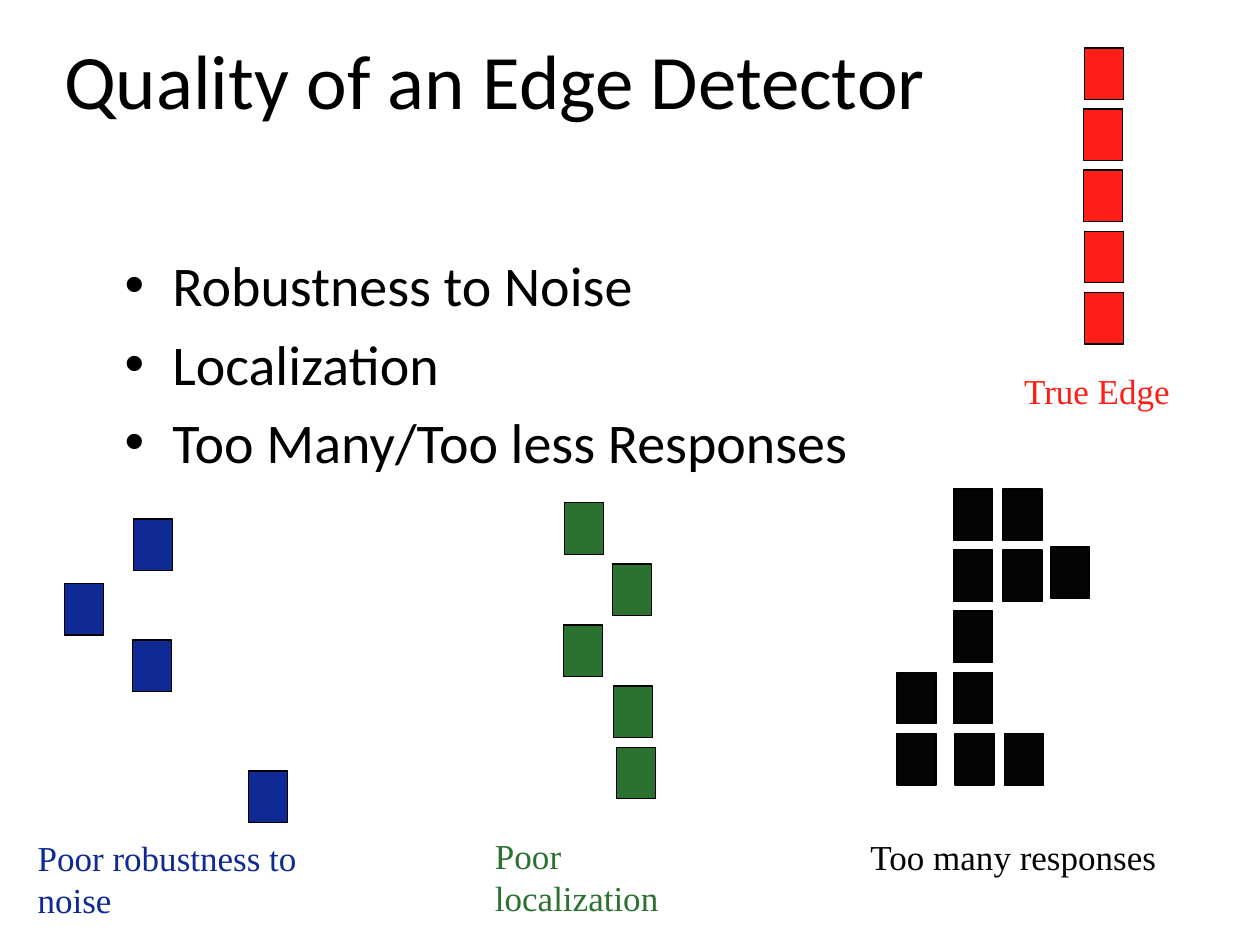
from dataclasses import dataclass

import pptx
import pptx.dml.color
import pptx.enum.shapes
import pptx.enum.text
import pptx.util
from lxml import etree

Inches = pptx.util.Inches
Pt = pptx.util.Pt
Color = pptx.dml.color.RGBColor.from_string


@dataclass(frozen=True)
class Theme:
    ink: str = "000000"
    red: str = "FF1D17"
    blue: str = "0F2995"
    green: str = "2B7130"
    black: str = "020406"
    sans: str = "Calibri"
    serif: str = "Times New Roman"
    head: int = 44
    body: int = 32
    note: int = 20


@dataclass(frozen=True)
class Edge:
    """Pixels of one edge as (left, row), with the label below."""
    color: str
    top: float
    cells: tuple[tuple[float, float], ...]
    label: str
    box: tuple[float, float, float, float]
    inset: float = 0


THEME = Theme()
PITCH = 0.485
WIDE, HIGH = 0.31, 0.41

EDGES = (
    Edge(THEME.red, 0.38, ((8.61, 0), (8.6, 1), (8.6, 2), (8.61, 3), (8.61, 4)),
         "True Edge", (8.03, 2.88, 1.37, 0.43)),
    Edge(THEME.blue, 4.12, ((1.06, 0), (0.51, 1.05), (1.05, 1.98), (1.97, 4.12)),
         "Poor robustness to noise", (0.2, 6.59, 2.9, 0.43), 0.5),
    Edge(THEME.green, 3.99, ((4.48, 0), (4.86, 1), (4.47, 2), (4.87, 3), (4.89, 4)),
         "Poor localization", (3.83, 6.57, 2.09, 0.43), 0.5),
    Edge(THEME.black, 3.88,
         ((7.57, 0), (7.96, 0), (7.57, 1), (7.96, 1), (8.34, 0.95), (7.57, 2),
          (7.12, 3), (7.57, 3), (7.12, 4), (7.58, 4), (7.97, 4)),
         "Too many responses", (6.81, 6.58, 2.48, 0.43)),
)


def place(shape, left: float, top: float, width: float, height: float) -> None:
    shape.left, shape.top = Inches(left), Inches(top)
    shape.width, shape.height = Inches(width), Inches(height)


def write(frame, *lines: str, font: str, size: int, color: str,
          bullet: bool = False) -> None:
    frame.word_wrap = True
    for i, line in enumerate(lines):
        para = frame.paragraphs[0] if i == 0 else frame.add_paragraph()
        para.alignment = pptx.enum.text.PP_ALIGN.LEFT
        run = para.add_run()
        run.text = line
        run.font.name, run.font.size = font, Pt(size)
        run.font.color.rgb = Color(color)
        if bullet:
            para.space_before = Pt(size * 0.2)
            props = para._p.get_or_add_pPr()
            props.set("marL", str(Inches(0.38)))
            props.set("indent", str(Inches(-0.38)))
            tag = "{http://schemas.openxmlformats.org/drawingml/2006/main}"
            etree.SubElement(props, tag + "buFont").set("typeface", "Arial")
            etree.SubElement(props, tag + "buChar").set("char", "•")


def draw(slide, edge: Edge) -> None:
    for left, row in edge.cells:
        cell = slide.shapes.add_shape(
            pptx.enum.shapes.MSO_SHAPE.RECTANGLE, Inches(left),
            Inches(edge.top + row * PITCH), Inches(WIDE), Inches(HIGH))
        cell.shadow.inherit = False
        cell.fill.solid()
        cell.fill.fore_color.rgb = Color(edge.color)
        cell.line.color.rgb = Color(THEME.ink)
        cell.line.width = Pt(0.75)
    note = slide.shapes.add_textbox(*map(Inches, edge.box)).text_frame
    note.margin_right = Inches(edge.inset)
    write(note, edge.label, font=THEME.serif, size=THEME.note, color=edge.color)


deck = pptx.Presentation()
deck.slide_width, deck.slide_height = Inches(10), Inches(7.5)
slide = deck.slides.add_slide(deck.slide_layouts[5])

# Title
title = slide.shapes.title
place(title, 0, 0, 8.5, 1.25)
title.text_frame.margin_left = Inches(0.51)
title.text_frame.vertical_anchor = pptx.enum.text.MSO_ANCHOR.MIDDLE
write(title.text_frame, "Quality of an Edge Detector",
      font=THEME.sans, size=THEME.head, color=THEME.ink)

# Criteria
body = slide.shapes.add_textbox(*map(Inches, (0.89, 1.94, 8.5, 4.5)))
write(body.text_frame, "Robustness to Noise", "Localization",
      "Too Many/Too less Responses",
      font=THEME.sans, size=THEME.body, color=THEME.ink, bullet=True)

# Sample edges
for edge in EDGES:
    draw(slide, edge)

deck.save("out.pptx")
